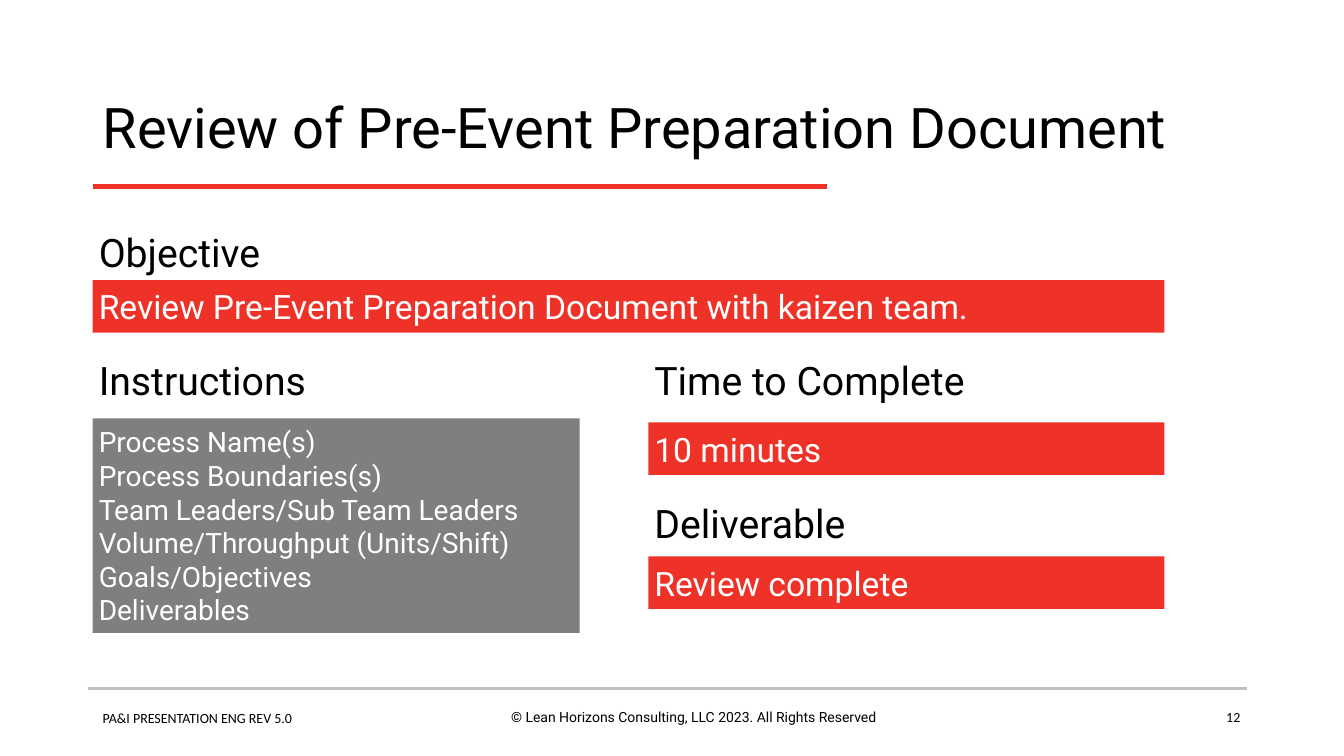
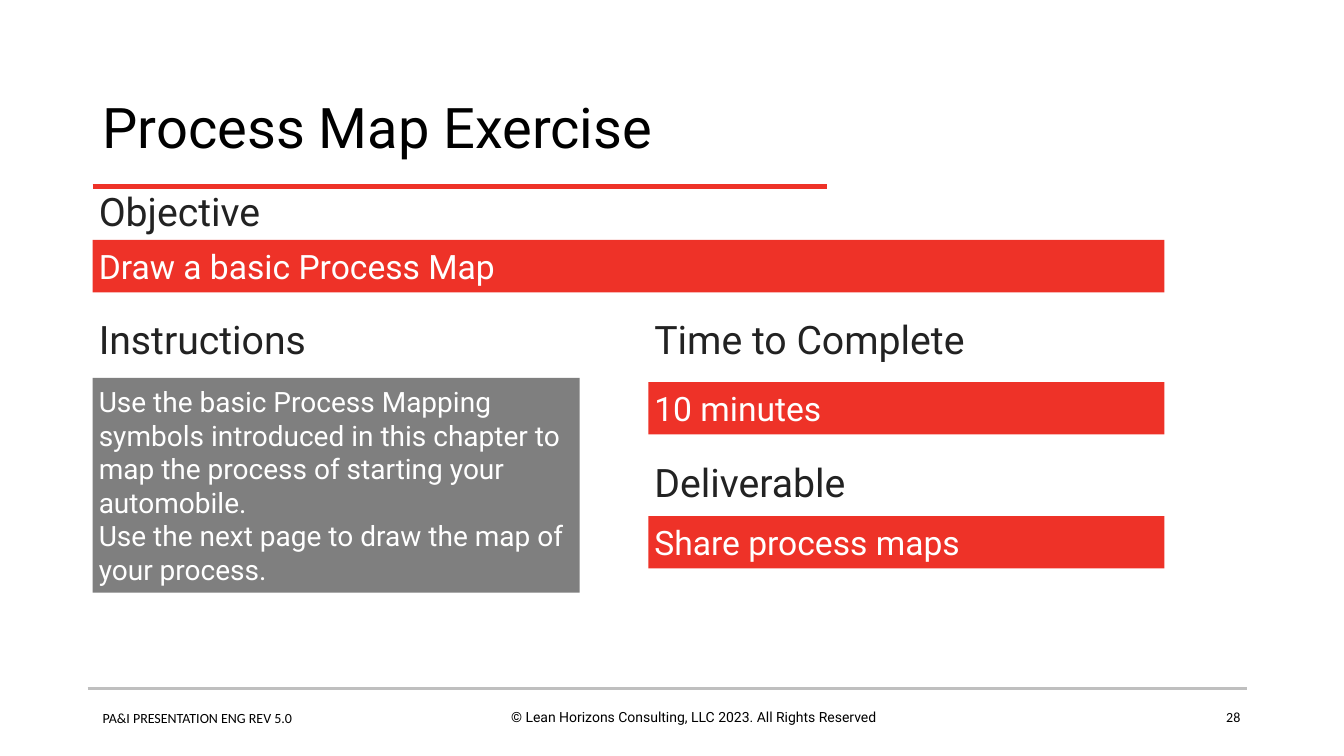
from pptx import Presentation
from pptx.dml.color import RGBColor
from pptx.enum.shapes import MSO_CONNECTOR, MSO_SHAPE
from pptx.enum.text import MSO_ANCHOR, PP_ALIGN
from pptx.oxml.ns import qn
from pptx.util import Inches, Pt
from lxml import etree

LINE, RECT = MSO_CONNECTOR.STRAIGHT, MSO_SHAPE.RECTANGLE
TOP, MIDDLE = MSO_ANCHOR.TOP, MSO_ANCHOR.MIDDLE
ALIGN_LEFT, ALIGN_CENTER, ALIGN_RIGHT = PP_ALIGN.LEFT, PP_ALIGN.CENTER, PP_ALIGN.RIGHT

BLACK = RGBColor(0x00, 0x00, 0x00)
CHARCOAL = RGBColor(0x22, 0x22, 0x22)
WHITE = RGBColor(0xFF, 0xFF, 0xFF)
RED = RGBColor(0xEE, 0x32, 0x28)
GRAY = RGBColor(0x7F, 0x7F, 0x7F)
SILVER = RGBColor(0xBF, 0xBF, 0xBF)

HEAD_FONT, NOTE_FONT = "Roboto", "Calibri"

# Columns, in inches
COL_1, COL_2, EDGE = 0.92, 6.43, 11.55
FULL, HALF = EDGE - COL_1, EDGE - COL_2
INSTRUCTIONS_W = 4.83

# Rows, in inches; block rows count from the top of the block
FOOTER_Y = 6.98
HEADING_H, BAR_H, INSTRUCTIONS_H = 0.58, 0.52, 2.13
ROW_2, ROW_3 = 1.27, 2.69
PAD = 0.06

# Rules: start x, end x, y, colour, points
RULES = [(0.87, 12.37, 6.83, SILVER, 2), (COL_1, 8.2, 1.85, RED, 3)]

SLIDES = [
    dict(
        title="Review of Pre-Event Preparation Document",
        number="12", top=2.2, heading_color=BLACK,
        objective="Review Pre-Event Preparation Document with kaizen team.",
        instructions=[
            "Process Name(s)",
            "Process Boundaries(s)",
            "Team Leaders/Sub Team Leaders",
            "Volume/Throughput (Units/Shift)",
            "Goals/Objectives",
            "Deliverables",
        ],
        time="10 minutes", deliverable="Review complete",
    ),
    dict(
        title="Process Map Exercise",
        number="28", top=1.8, heading_color=CHARCOAL,
        objective="Draw a basic Process Map",
        instructions=[
            "Use the basic Process Mapping symbols introduced in this chapter "
            "to map the process of starting your automobile.",
            "Use the next page to draw the map of your process.",
        ],
        time="10 minutes", deliverable="Share process maps",
    ),
]


def add_text(s, text, x, y, w, h, size, color=BLACK, font=HEAD_FONT,
             align=ALIGN_LEFT, anchor=TOP, fill=None, pad=None, spacing=None):
    """Add a text box, or a filled rectangle when a fill is given."""
    box = Inches(x), Inches(y), Inches(w), Inches(h)
    if fill is None:
        sp = s.shapes.add_textbox(*box)
    else:
        sp = s.shapes.add_shape(RECT, *box)
        sp.shadow.inherit = False
        sp.fill.solid()
        sp.fill.fore_color.rgb = fill
        sp.line.fill.background()
    tf = sp.text_frame
    tf.word_wrap = True
    tf.vertical_anchor = anchor
    if pad is not None:
        tf.margin_left = tf.margin_right = Inches(pad)
        tf.margin_top = tf.margin_bottom = Inches(pad)
    tf.text = text
    for p in tf.paragraphs:
        p.alignment = align
        p.line_spacing = spacing
        for r in p.runs:
            r.font.name = font
            r.font.size = Pt(size)
            r.font.color.rgb = color


def add_rule(s, x1, x2, y, color, width):
    rule = s.shapes.add_connector(LINE, Inches(x1), Inches(y), Inches(x2), Inches(y))
    rule.line.color.rgb = color
    rule.line.width = Pt(width)
    etree.SubElement(rule._element.spPr, qn("a:effectLst"))


prs = Presentation()
prs.slide_width, prs.slide_height = Inches(13.33), Inches(7.5)
blank = prs.slide_layouts[6]

for page in SLIDES:
    s = prs.slides.add_slide(blank)

    # Footer, rules and title
    add_text(s, "© Lean Horizons Consulting, LLC 2023. All Rights Reserved",
             4.6, FOOTER_Y, 4.56, 0.44, 10, align=ALIGN_CENTER)
    add_text(s, "PA&I PRESENTATION ENG REV 5.0",
             COL_1, FOOTER_Y + 0.01, 3.6, 0.44, 10, font=NOTE_FONT)
    add_text(s, page["number"], 9.4, FOOTER_Y, 3, 0.36, 10,
             font=NOTE_FONT, align=ALIGN_RIGHT)
    for rule in RULES:
        add_rule(s, *rule)
    add_text(s, page["title"], COL_1, 0.74, 11.5, 1.1, 40, anchor=MIDDLE, spacing=0.9)

    # Heading, its row, then the panel below: text, column, row, size, fill, points
    panels = [
        ("Objective", 0, page["objective"],
         COL_1, HEADING_H, FULL, BAR_H, RED, 24),
        ("Instructions", ROW_2, "\n".join(page["instructions"]),
         COL_1, 1.95, INSTRUCTIONS_W, INSTRUCTIONS_H, GRAY, 20),
        ("Time to Complete", ROW_2, page["time"],
         COL_2, 1.99, HALF, BAR_H, RED, 24),
        ("Deliverable", ROW_3, page["deliverable"],
         COL_2, 3.32, HALF, BAR_H, RED, 24),
    ]
    top = page["top"]
    for heading, heading_row, text, x, row, w, h, fill, size in panels:
        add_text(s, heading, x, top + heading_row, w, HEADING_H, 28,
                 color=page["heading_color"], pad=PAD)
        add_text(s, text, x, top + row, w, h, size, color=WHITE,
                 anchor=MIDDLE, fill=fill, pad=PAD)

prs.save("out.pptx")
